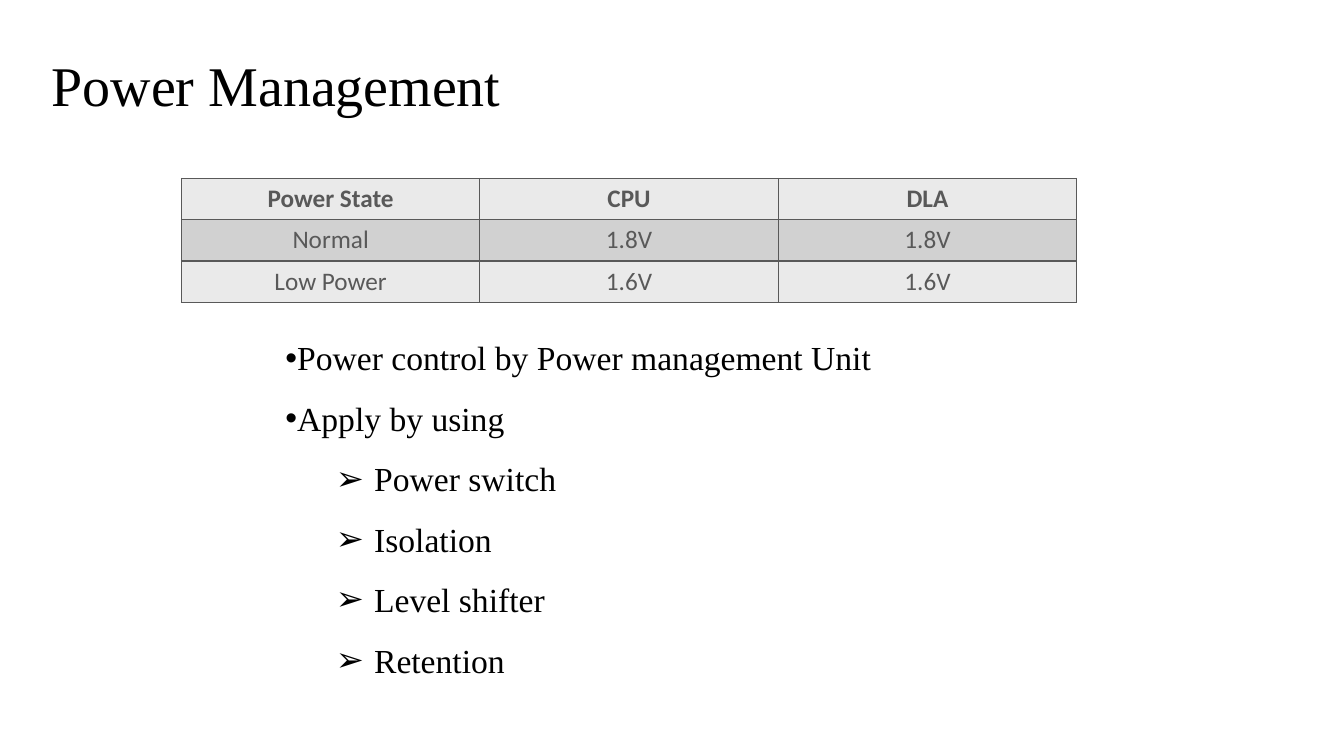
from lxml import etree
from pptx import Presentation, util as u
from pptx.dml.color import RGBColor
from pptx.enum import text as t
from pptx.oxml import ns

BLACK = RGBColor(0x00, 0x00, 0x00)
GRAY = RGBColor(0x59, 0x59, 0x59)
LIGHT = RGBColor(0xEA, 0xEA, 0xEA)
DARK = RGBColor(0xD1, 0xD1, 0xD1)
SERIF = "Times New Roman"
SANS = "Calibri"
WIDE, HIGH = u.Inches(13.33), u.Inches(7.5)
COL, ROW = u.Inches(2.96), u.Inches(0.41)

STATES = [
    ("Power State", "CPU", "DLA"),
    ("Normal", "1.8V", "1.8V"),
    ("Low Power", "1.6V", "1.6V"),
]
POINTS = [
    ("Power control by Power management Unit", 0),
    ("Apply by using", 0),
    ("Power switch", 1),
    ("Isolation", 1),
    ("Level shifter", 1),
    ("Retention", 1),
]


def add_run(para, words, size, face, color, bold=False):
    run = para.add_run()
    run.text = words
    font = run.font
    font.size, font.name, font.bold = u.Pt(size), face, bold
    font.color.rgb = color


def add_box(slide, left, top, width, height):
    box = slide.shapes.add_textbox(
        round(left * WIDE), round(top * HIGH),
        round(width * WIDE), round(height * HIGH))
    frame = box.text_frame
    frame.word_wrap = True
    return frame


def add_title(slide, words):
    frame = add_box(slide, 0.031, 0.053, 0.939, 0.11)
    frame.vertical_anchor = t.MSO_ANCHOR.BOTTOM
    para = frame.paragraphs[0]
    para.line_spacing = 0.9
    add_run(para, words, 40, SERIF, BLACK)


def set_edges(cell):
    props = cell._tc.get_or_add_tcPr()
    for place, side in enumerate(("lnL", "lnR", "lnT", "lnB")):
        line = etree.Element(ns.qn("a:" + side), w=str(u.Pt(1)))
        fill = etree.SubElement(line, ns.qn("a:solidFill"))
        etree.SubElement(fill, ns.qn("a:srgbClr"), val=str(GRAY))
        props.insert(place, line)


def add_grid(slide, rows):
    count = len(rows[0])
    grid = slide.shapes.add_table(
        len(rows), count, round(0.135 * WIDE), round(0.236 * HIGH),
        count * COL, len(rows) * ROW).table
    for r, row in enumerate(rows):
        for c, words in enumerate(row):
            cell = grid.cell(r, c)
            cell.fill.solid()
            cell.fill.fore_color.rgb = DARK if r % 2 else LIGHT
            set_edges(cell)
            para = cell.text_frame.paragraphs[0]
            para.alignment = t.PP_ALIGN.CENTER
            add_run(para, words, 18, SANS, GRAY, r == 0)


def set_bullet(para, level):
    para.level = level
    props = para._p.get_or_add_pPr()
    if level:
        props.set("marL", str(u.Inches(0.88)))
        props.set("indent", str(u.Inches(-0.38)))
    etree.SubElement(props, ns.qn("a:buFont"), typeface="Arial")
    etree.SubElement(props, ns.qn("a:buChar"), char="➢" if level else "•")


def add_list(slide, points):
    frame = add_box(slide, 0.205, 0.413, 0.511, 0.552)
    frame.auto_size = t.MSO_AUTO_SIZE.SHAPE_TO_FIT_TEXT
    for n, (words, level) in enumerate(points):
        para = frame.add_paragraph() if n else frame.paragraphs[0]
        para.line_spacing = 1.5
        set_bullet(para, level)
        add_run(para, words, 24, SERIF, BLACK)


def main():
    deck = Presentation()
    deck.slide_width, deck.slide_height = WIDE, HIGH
    slide = deck.slides.add_slide(deck.slide_layouts[6])
    add_title(slide, "Power Management")
    add_grid(slide, STATES)
    add_list(slide, POINTS)
    deck.save("out.pptx")


if __name__ == "__main__":
    main()
